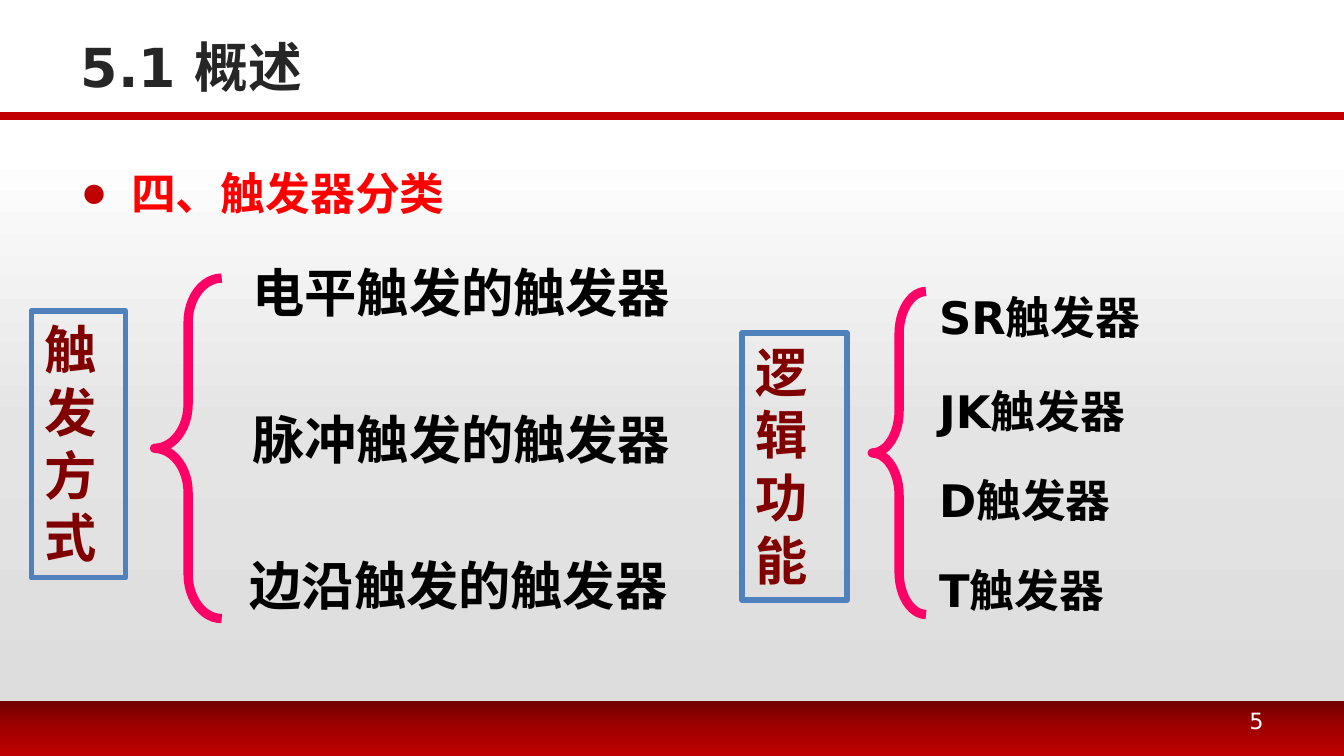
"""Build the slide that classifies flip-flops by trigger mode and by logic function."""
from dataclasses import dataclass

from lxml.etree import SubElement
from pptx import Presentation
from pptx.dml.color import RGBColor as Rgb
from pptx.enum.shapes import MSO_CONNECTOR as Connector, MSO_SHAPE as Preset
from pptx.enum.text import MSO_ANCHOR as Anchor, PP_ALIGN as Align
from pptx.oxml.ns import qn
from pptx.util import Pt

COLORS = {
    "title": "262626", "rule": "C00000", "heading": "FF0000", "label": "800000",
    "frame": "4F81BD", "brace": "FF0066", "item": "000000", "page": "FFFFFF",
}
PANEL_STOPS = [(0, "FFFFFF"), (50, "E4E4E4"), (100, "DDDDDD")]
FOOTER_STOPS = [(0, "720000"), (50, "A20000"), (100, "C00000")]
SANS, SERIF, ARIAL = "DejaVu Sans", "Times New Roman", "Arial"
WIDTH, HEIGHT = 720, 405


@dataclass
class Area:
    left: float
    top: float
    width: float
    height: float

    def lengths(self) -> tuple:
        return Pt(self.left), Pt(self.top), Pt(self.width), Pt(self.height)


@dataclass
class Style:
    font: str
    size: float
    color: str
    bold: bool = True


@dataclass
class Item:
    text: str
    left: float
    top: float


@dataclass
class Branch:
    label: str
    frame: Area
    brace: Area
    curve: float
    style: Style
    item_width: float
    item_height: float
    items: list[Item]


def color(name: str) -> Rgb:
    return Rgb.from_string(COLORS[name])


def write(shape, text: str, style: Style, align=Align.LEFT, anchor=Anchor.TOP):
    frame = shape.text_frame
    frame.word_wrap = True
    frame.vertical_anchor = anchor
    para = frame.paragraphs[0]
    para.alignment = align
    run = para.add_run()
    run.text = text
    run.font.name = style.font
    run.font.size = Pt(style.size)
    run.font.bold = style.bold
    run.font.color.rgb = color(style.color)
    return para


def add_text(slide, area: Area, text: str, style: Style, align=Align.LEFT, anchor=Anchor.TOP) -> None:
    write(slide.shapes.add_textbox(*area.lengths()), text, style, align, anchor)


def add_band(slide, area: Area, stops: list[tuple[int, str]]) -> None:
    band = slide.shapes.add_shape(Preset.RECTANGLE, *area.lengths())
    band.shadow.inherit = False
    band.line.fill.background()
    band.fill.gradient()
    band.fill.gradient_angle = 270
    stop_list = band._element.spPr.find(".//" + qn("a:gsLst"))
    for old_stop in list(stop_list):
        stop_list.remove(old_stop)
    for position, hex_color in stops:
        stop = SubElement(stop_list, qn("a:gs"), pos=str(position * 1000))
        SubElement(stop, qn("a:srgbClr"), val=hex_color)
    slide.shapes._spTree.insert(2, band._element)


def add_rule(slide, top: float) -> None:
    rule = slide.shapes.add_connector(Connector.STRAIGHT, 0, Pt(top), Pt(WIDTH), Pt(top))
    rule.line.color.rgb = color("rule")
    rule.line.width = Pt(4.5)
    SubElement(rule._element.spPr, qn("a:effectLst"))


def add_outline(slide, preset, area: Area, line: str, weight: float):
    shape = slide.shapes.add_shape(preset, *area.lengths())
    shape.shadow.inherit = False
    shape.fill.background()
    shape.line.color.rgb = color(line)
    shape.line.width = Pt(weight)
    return shape


def add_branch(slide, branch: Branch) -> None:
    frame = add_outline(slide, Preset.RECTANGLE, branch.frame, "frame", 3)
    write(frame, branch.label, Style(SERIF, 28, "label"))
    brace = add_outline(slide, Preset.LEFT_BRACE, branch.brace, "brace", 5)
    brace.adjustments[0] = branch.curve
    for item in branch.items:
        area = Area(item.left, item.top, branch.item_width, branch.item_height)
        add_text(slide, area, item.text, branch.style)


def place(placeholder, area: Area) -> None:
    placeholder.left, placeholder.top, placeholder.width, placeholder.height = area.lengths()


def fill_heading(body, text: str) -> None:
    para = write(body, text, Style(ARIAL, 24, "heading"))
    para.line_spacing = 1.5
    para.space_before = Pt(0)
    properties = para._p.get_or_add_pPr()
    properties.set("marL", str(Pt(27)))
    properties.set("indent", str(Pt(-27)))
    bullet_color = SubElement(properties, qn("a:buClr"))
    SubElement(bullet_color, qn("a:srgbClr"), val=COLORS["rule"])
    SubElement(properties, qn("a:buChar"), char="●")


BRANCHES = [
    Branch(
        "触发方式", Area(16.8, 166.5, 50.4, 143), Area(82.8, 149, 36, 182.4), 0.66,
        Style(SERIF, 28, "item"), 270, 41,
        [Item("电平触发的触发器", 128.2, 136.1),
         Item("脉冲触发的触发器", 128.2, 214.6),
         Item("边沿触发的触发器", 126.7, 293.1)],
    ),
    Branch(
        "逻辑功能", Area(397.6, 178.5, 56.2, 143), Area(467.3, 156.2, 28.8, 173), 0.79,
        Style(SANS, 24, "item"), 136, 36.7,
        [Item("SR触发器", 496.1, 151.9),
         Item("JK触发器", 496.1, 201.9),
         Item("D触发器", 496.1, 249.9),
         Item("T触发器", 496.1, 297.9)],
    ),
]


def main() -> None:
    deck = Presentation()
    deck.slide_width, deck.slide_height = Pt(WIDTH), Pt(HEIGHT)
    slide = deck.slides.add_slide(deck.slide_layouts[1])
    title, body = slide.placeholders

    add_band(slide, Area(0, 375.5, WIDTH, 29.5), FOOTER_STOPS)
    add_band(slide, Area(0, 79, WIDTH, 301.7), PANEL_STOPS)
    add_rule(slide, 62)

    place(title, Area(36, 16.8, 648, 37.4))
    write(title, "5.1 概述", Style(SANS, 28.8, "title"), anchor=Anchor.MIDDLE)
    place(body, Area(36, 70.6, 651, 58.3))
    fill_heading(body, "四、触发器分类")

    for branch in BRANCHES:
        add_branch(slide, branch)
    add_text(slide, Area(516, 375.3, 168, 21.6), "5", Style(SANS, 12, "page", False),
             Align.RIGHT, Anchor.MIDDLE)
    deck.save("out.pptx")


if __name__ == "__main__":
    main()
